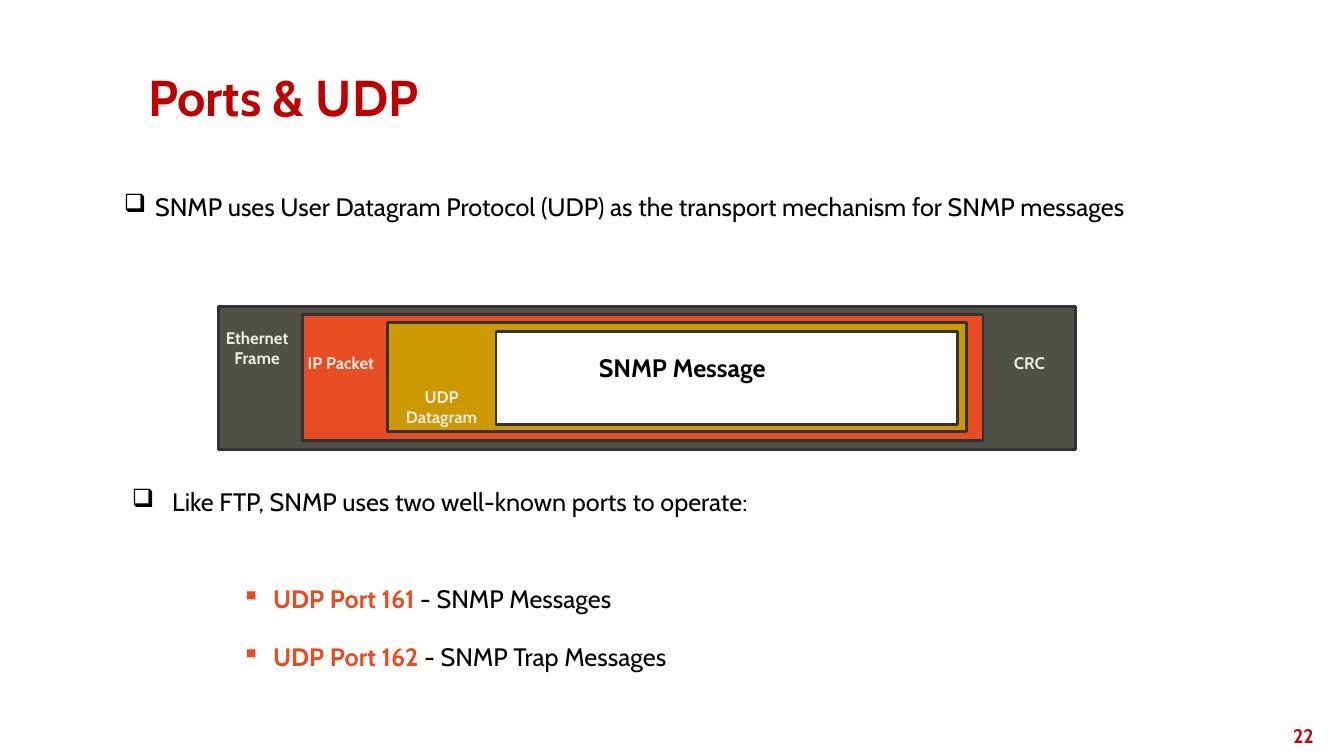
from lxml import etree
from pptx import Presentation
from pptx.dml.color import RGBColor
from pptx.enum import shapes, text
from pptx.oxml import ns
from pptx.util import Inches, Pt

COLORS = {
    "red": "C00000", "black": "000000", "orange": "E84C22", "slate": "505046",
    "gold": "CC9900", "white": "FFFFFF", "cream": "EEECE1", "outline": "333333",
}
LEFT, CENTER, RIGHT = text.PP_ALIGN.LEFT, text.PP_ALIGN.CENTER, text.PP_ALIGN.RIGHT
TOP, MIDDLE = text.MSO_ANCHOR.TOP, text.MSO_ANCHOR.MIDDLE


def add_text(parent, place, paragraphs, size, align=LEFT, anchor=TOP, **spacing):
    """Add a text box; each paragraph is a list of (words, color, bold) spans."""
    box = parent.add_textbox(*map(Inches, place))
    frame = box.text_frame
    frame.word_wrap = True
    frame.vertical_anchor = anchor
    for index, spans in enumerate(paragraphs):
        para = frame.paragraphs[0] if index == 0 else frame.add_paragraph()
        para.alignment = align
        for name, value in spacing.items():
            setattr(para, name, value)
        for words, color, bold in spans:
            span = para.add_run()
            span.text = words
            span.font.color.rgb = RGBColor.from_string(COLORS[color])
            for name, value in {"name": "Cabin", "size": Pt(size), "bold": bold}.items():
                setattr(span.font, name, value)
    return box


def add_bullets(box, mark, color, indent):
    for para in box.text_frame.paragraphs:
        props = para._p.get_or_add_pPr()
        props.set("marL", str(Inches(indent)))
        props.set("indent", str(-Inches(indent)))
        bullet_color = etree.SubElement(props, ns.qn("a:buClr"))
        etree.SubElement(bullet_color, ns.qn("a:srgbClr"), val=COLORS[color])
        etree.SubElement(props, ns.qn("a:buChar"), char=mark)


deck = Presentation()
deck.slide_width, deck.slide_height = Inches(13.33), Inches(7.5)
page = deck.slides.add_slide(deck.slide_layouts[6])

# Title and page number
add_text(page.shapes, (1.37, 0.27, 11.5, 1.45), [[("Ports & UDP", "red", True)]],
         36, anchor=MIDDLE, line_spacing=0.9)
add_text(page.shapes, (10.13, 7.1, 3, 0.4), [[("22", "red", True)]],
         14, align=RIGHT, anchor=MIDDLE)

# Bulleted statements
transport = add_text(
    page.shapes, (1.13, 1.7, 10.15, 0.95),
    [[("SNMP uses User Datagram Protocol (UDP) as the transport mechanism for SNMP messages",
       "black", False)]], 18, line_spacing=1.5)
add_bullets(transport, "❑", "black", 0.31)

ports = add_text(
    page.shapes, (2.3, 5.59, 8, 1.11),
    [[(port, "orange", True), (use, "black", False)] for port, use in (
        ("UDP Port 161", " - SNMP Messages"),
        ("UDP Port 162", " - SNMP Trap Messages"))],
    18, line_spacing=1.5)
ports.text_frame.paragraphs[1].space_before = Pt(9)
add_bullets(ports, "▪", "orange", 0.31)

operation = add_text(
    page.shapes, (1.21, 4.78, 8.5, 0.4),
    [[("Like FTP, SNMP uses two well-known ports to operate:", "black", False)]], 18)
add_bullets(operation, "❑", "black", 0.4)

# Nested packet layers, outermost first
packet = page.shapes.add_group_shape()
for color, *place in (
    ("slate", 2.17, 3.04, 8.5, 1.42),
    ("orange", 3, 3.12, 6.75, 1.25),
    ("gold", 3.84, 3.2, 5.75, 1.08),
    ("white", 4.92, 3.29, 4.58, 0.92),
):
    layer = packet.shapes.add_shape(shapes.MSO_SHAPE.RECTANGLE, *map(Inches, place))
    layer.shadow.inherit = False
    layer.fill.solid()
    layer.fill.fore_color.rgb = RGBColor.from_string(COLORS[color])
    layer.line.color.rgb = RGBColor.from_string(COLORS["outline"])
    layer.line.width = Pt(2)

for words, *place in (
    ("Ethernet Frame", 2.09, 3.2, 0.92, 0.5),
    ("IP Packet", 2.92, 3.45, 0.92, 0.5),
    ("UDP Datagram", 3.84, 3.79, 1.08, 0.5),
    ("CRC", 9.75, 3.45, 0.92, 0.3),
):
    add_text(packet.shapes, place, [[(words, "cream", True)]], 12, align=CENTER)
add_text(packet.shapes, (5.84, 3.45, 3.42, 0.5), [[("SNMP Message", "black", True)]], 18)

deck.save("out.pptx")
